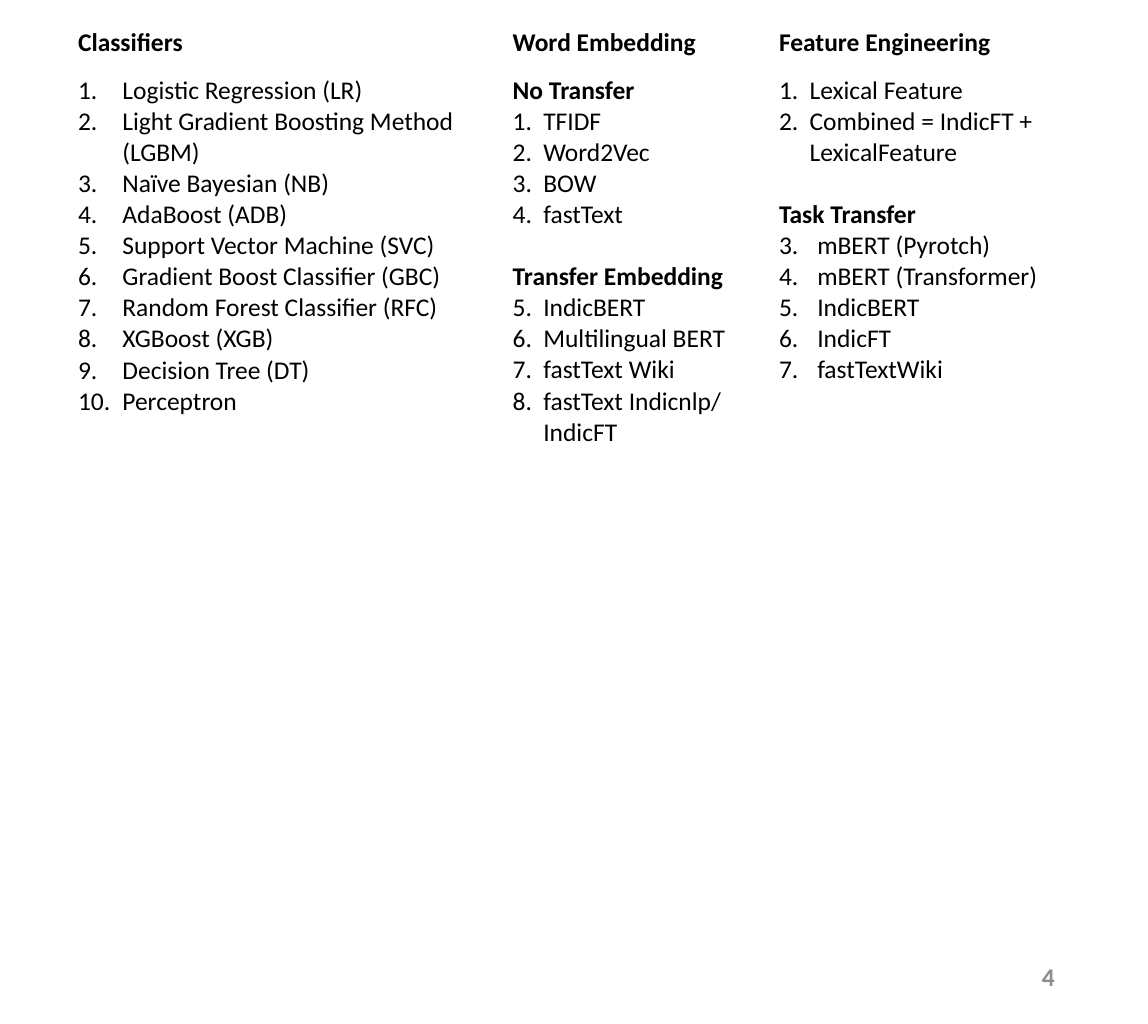
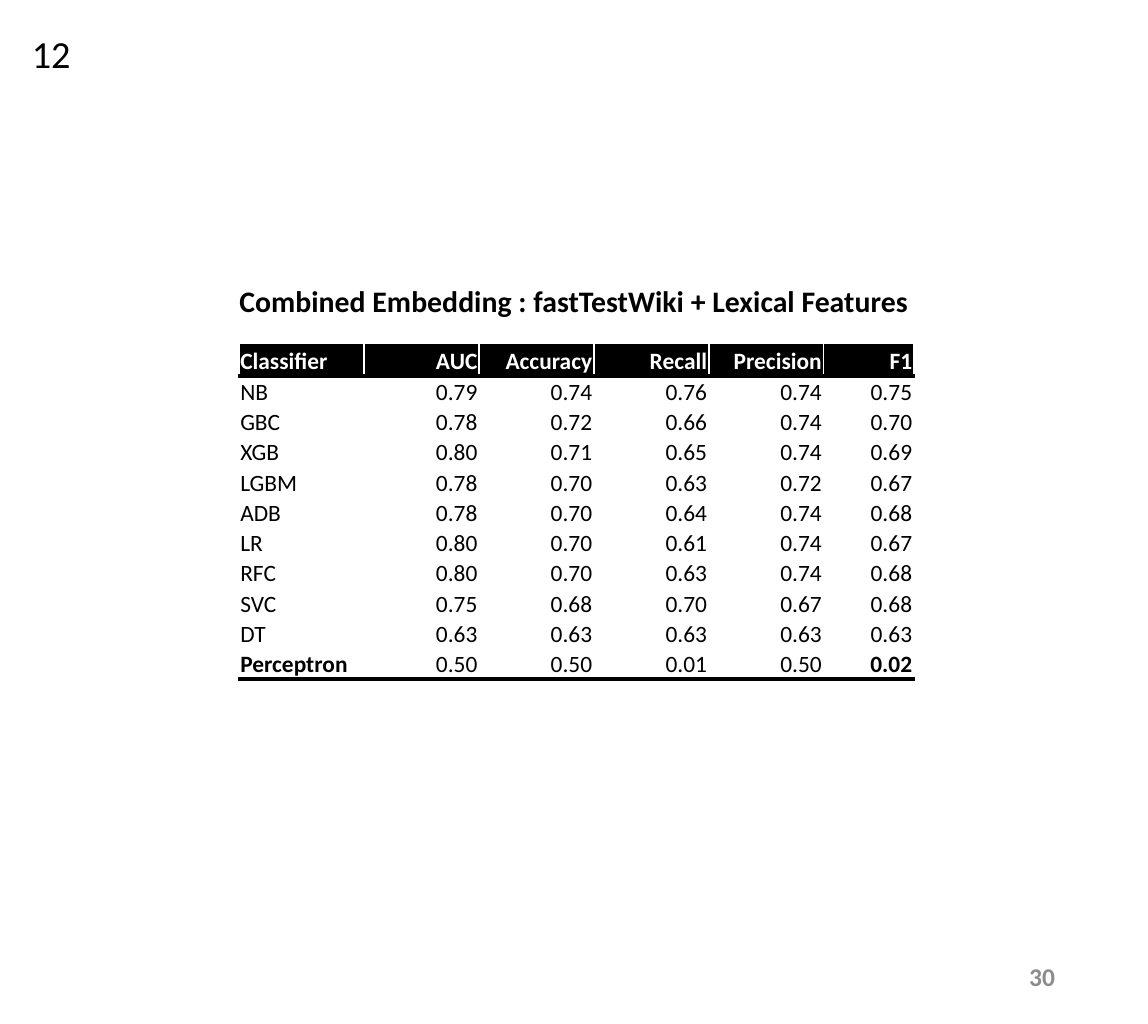
from collections import namedtuple
from lxml.etree import SubElement
from pptx import Presentation
from pptx.dml.color import RGBColor
from pptx.enum.text import MSO_ANCHOR, MSO_AUTO_SIZE, PP_ALIGN
from pptx.oxml.ns import qn
from pptx.util import Inches, Pt

Theme = namedtuple("Theme", "font ink paper grey body cell title mark")
theme = Theme("Calibri", RGBColor(0, 0, 0), RGBColor(255, 255, 255),
              RGBColor(0x8C, 0x8C, 0x8C), Pt(12), Pt(11), Pt(14), Pt(18))
unit = Inches(0.1)  # one grid step

deck = Presentation()
deck.slide_width, deck.slide_height = int(75 * unit), int(66.9 * unit)


def grid(*steps):
    return [int(step * unit) for step in steps]


def style(para, size, color=theme.ink, bold=False, align=PP_ALIGN.LEFT):
    para.alignment = align
    for run in para.runs:
        font = run.font
        font.name, font.size, font.bold = theme.font, size, bold
        font.color.rgb = color


# Slides with their page numbers
lists = deck.slides.add_slide(deck.slide_layouts[6])
scores = deck.slides.add_slide(deck.slide_layouts[5])
for slide, page in ((lists, "4"), (scores, "30")):
    frame = slide.shapes.add_textbox(*grid(53, 62, 16.9, 3.6)).text_frame
    frame.word_wrap = True
    frame.vertical_anchor = MSO_ANCHOR.MIDDLE
    frame.text = page
    style(frame.paragraphs[0], theme.body, theme.grey, True, PP_ALIGN.RIGHT)

# Slide 1: three columns of numbered lists
# Each column: heading, width, groups of (subheading, indent, items)
topics = [
    ("Classifiers", 28.4, [
        ("", 2.9, ["Logistic Regression (LR)",
                   "Light Gradient Boosting Method (LGBM)",
                   "Naïve Bayesian (NB)", "AdaBoost (ADB)",
                   "Support Vector Machine (SVC)",
                   "Gradient Boost Classifier (GBC)",
                   "Random Forest Classifier (RFC)", "XGBoost (XGB)",
                   "Decision Tree (DT)", "Perceptron"])]),
    ("Word Embedding", 17.4, [
        ("No Transfer", 2, ["TFIDF", "Word2Vec", "BOW", "fastText"]),
        ("Transfer Embedding", 2, ["IndicBERT", "Multilingual BERT",
                                   "fastText Wiki",
                                   "fastText Indicnlp/ IndicFT"])]),
    ("Feature Engineering", 21, [
        ("", 2, ["Lexical Feature", "Combined = IndicFT + LexicalFeature"]),
        ("Task Transfer", 2.5, ["mBERT (Pyrotch)", "mBERT (Transformer)",
                                "IndicBERT", "IndicFT", "fastTextWiki"])]),
]
table = lists.shapes.add_table(2, 3, *grid(4.1, 1.3, 66.8, 32.5)).table
table.first_row = table.horz_banding = False
table.rows[0].height, table.rows[1].height = grid(3.1, 29.4)
for col, (head, width, groups) in enumerate(topics):
    table.columns[col].width = int(width * unit)
    top, body = table.cell(0, col), table.cell(1, col)
    for cell in (top, body):
        cell.fill.background()
    top.text = head
    style(top.text_frame.paragraphs[0], theme.body, bold=True)

    # Numbers run on from group to group
    lines, start = [], 1
    for label, indent, items in groups:
        if label:
            lines.append((label, 0, 0))
        lines += [(item, indent, start) for item in items]
        start += len(items)
    frame = body.text_frame
    frame.text = "\n".join(line[0] for line in lines)
    for row, (para, line) in enumerate(zip(frame.paragraphs, lines)):
        text, indent, start = line
        style(para, theme.body, bold=not start)
        if start:
            props = para._p.get_or_add_pPr()
            props.set("marL", str(int(indent * unit)))
            props.set("indent", str(-int(indent * unit)))
            SubElement(props, qn("a:buFont"), typeface="+mj-lt")
            mark = SubElement(props, qn("a:buAutoNum"), type="arabicPeriod")
            if start > 1:
                mark.set("startAt", str(start))
        elif row:
            para.space_before = Pt(14.6)

# Slide 2: title and corner number
title = scores.shapes.title
title.left, title.top, title.width, title.height = grid(14.3, 18, 46.4, 3.4)
frame = title.text_frame
frame.text = "Combined Embedding : fastTestWiki + Lexical Features"
frame.auto_size = MSO_AUTO_SIZE.NONE
frame.vertical_anchor = MSO_ANCHOR.TOP
style(frame.paragraphs[0], theme.title, bold=True, align=PP_ALIGN.CENTER)

frame = scores.shapes.add_textbox(*grid(1.1, 1.5, 4.6, 4)).text_frame
frame.word_wrap = False
frame.text = "12"
style(frame.paragraphs[0], theme.mark)

# Slide 2: score table
data = [
    ("Classifier", "AUC", "Accuracy", "Recall", "Precision", "F1"),
    ("NB", "0.79", "0.74", "0.76", "0.74", "0.75"),
    ("GBC", "0.78", "0.72", "0.66", "0.74", "0.70"),
    ("XGB", "0.80", "0.71", "0.65", "0.74", "0.69"),
    ("LGBM", "0.78", "0.70", "0.63", "0.72", "0.67"),
    ("ADB", "0.78", "0.70", "0.64", "0.74", "0.68"),
    ("LR", "0.80", "0.70", "0.61", "0.74", "0.67"),
    ("RFC", "0.80", "0.70", "0.63", "0.74", "0.68"),
    ("SVC", "0.75", "0.68", "0.70", "0.67", "0.68"),
    ("DT", "0.63", "0.63", "0.63", "0.63", "0.63"),
    ("Perceptron", "0.50", "0.50", "0.01", "0.50", "0.02"),
]
last = len(data) - 1
widths = grid(8.2, 7.5, 7.5, 7.5, 7.5, 5.9)
table = scores.shapes.add_table(len(data), len(widths),
                                *grid(15.6, 22.6, 44.1, 21.8)).table
table.first_row = table.horz_banding = False
for col, width in enumerate(widths):
    table.columns[col].width = width
for row, values in enumerate(data):
    for col, value in enumerate(values):
        cell = table.cell(row, col)
        cell.margin_left = cell.margin_right = cell.margin_top = Inches(0.01)
        cell.margin_bottom = 0
        cell.vertical_anchor = MSO_ANCHOR.BOTTOM
        # Rules above and below the head, and below the last row
        sides = {0: ("a:lnT", "a:lnB"), last: ("a:lnB",)}.get(row, ())
        for side in sides:
            rule = SubElement(cell._tc.get_or_add_tcPr(), qn(side),
                              w=str(Pt(2)))
            fill = SubElement(rule, qn("a:solidFill"))
            SubElement(fill, qn("a:srgbClr"), val=str(theme.ink))
        cell.fill.solid()
        cell.fill.fore_color.rgb = theme.paper if row else theme.ink
        cell.text = value
        style(cell.text_frame.paragraphs[0], theme.cell,
              theme.ink if row else theme.paper,
              row == 0 or row == last and col in (0, 5),
              PP_ALIGN.RIGHT if col else PP_ALIGN.LEFT)

deck.save("out.pptx")
